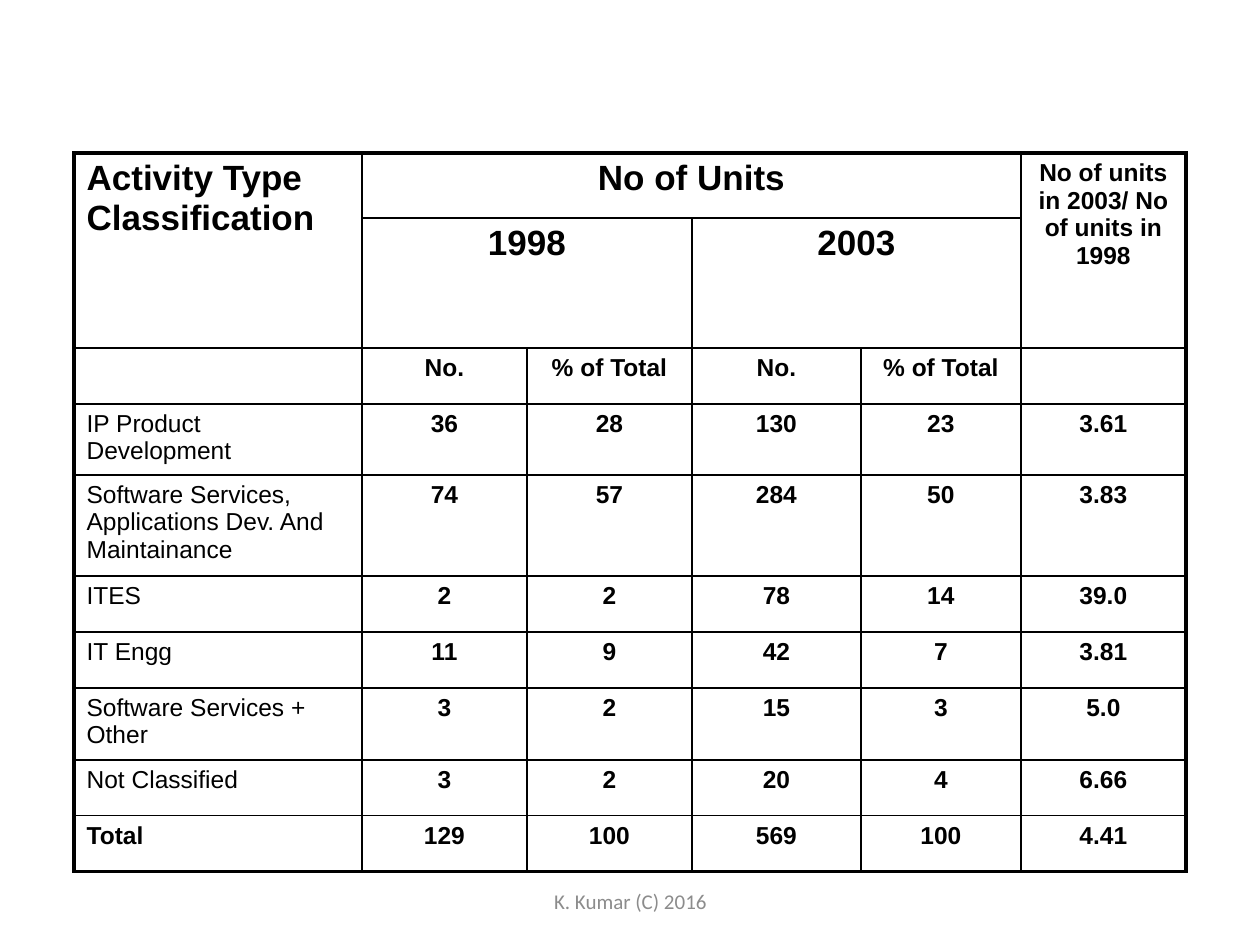
from lxml.etree import SubElement
from pptx import Presentation
from pptx.dml.color import RGBColor
from pptx.enum.text import MSO_ANCHOR, PP_ALIGN
from pptx.oxml.ns import qn
from pptx.util import Emu, Pt

BLACK = RGBColor(0x00, 0x00, 0x00)
GREY = RGBColor(0x8C, 0x8C, 0x8C)


def px(n):
    return Emu(n * 914400 // 126)


def add_border(cell, side, width):
    ln = SubElement(cell._tc.get_or_add_tcPr(), qn(f"a:ln{side}"), w=str(Pt(width)))
    fill = SubElement(ln, qn("a:solidFill"))
    SubElement(fill, qn("a:srgbClr"), val=str(BLACK))


prs = Presentation()
prs.slide_width, prs.slide_height = px(1260), px(945)
s = prs.slides.add_slide(prs.slide_layouts[6])

ROWS = [
    ["Activity Type Classification", "No of Units", "", "", "",
     "No of units in 2003/ No of units in 1998"],
    ["", "1998", "", "2003", "", ""],
    ["", "No.", "% of Total", "No.", "% of Total", ""],
    ["IP Product Development", "36", "28", "130", "23", "3.61"],
    ["Software Services, Applications Dev. And Maintainance",
     "74", "57", "284", "50", "3.83"],
    ["ITES", "2", "2", "78", "14", "39.0"],
    ["IT Engg", "11", "9", "42", "7", "3.81"],
    ["Software Services + Other", "3", "2", "15", "3", "5.0"],
    ["Not Classified", "3", "2", "20", "4", "6.66"],
    ["Total", "129", "100", "569", "100", "4.41"],
]
COL_WIDTHS = [288, 165, 165, 169, 160, 165]
ROW_HEIGHTS = [65, 130, 56, 71, 101, 56, 56, 72, 56, 56]
MERGES = [(0, 0, 1, 0), (0, 1, 0, 4), (0, 5, 1, 5), (1, 1, 1, 2), (1, 3, 1, 4)]
last_row, last_col = len(ROWS) - 1, len(COL_WIDTHS) - 1

table = s.shapes.add_table(len(ROWS), len(COL_WIDTHS), px(74), px(153),
                           px(sum(COL_WIDTHS)), px(sum(ROW_HEIGHTS))).table
table.first_row = table.horz_banding = False
for col, width in zip(table.columns, COL_WIDTHS):
    col.width = px(width)
for row, height in zip(table.rows, ROW_HEIGHTS):
    row.height = px(height)
for top, left, bottom, right in MERGES:
    table.cell(top, left).merge(table.cell(bottom, right))

for i, texts in enumerate(ROWS):
    for j, text in enumerate(texts):
        cell = table.cell(i, j)
        outer = {"L": j == 0, "R": j == last_col, "T": i == 0, "B": i == last_row}
        for side, is_outer in outer.items():
            add_border(cell, side, 2.25 if is_outer else 1)
        cell.fill.background()
        if not text:
            continue
        cell.text = text
        p = cell.text_frame.paragraphs[0]
        p.alignment = PP_ALIGN.CENTER if j else PP_ALIGN.LEFT
        p.font.name = "Arial"
        p.font.size = Pt(20 if i < 2 and j < last_col else 14)
        p.font.bold = j > 0 or i in (0, last_row)
        p.font.color.rgb = BLACK

footer = s.shapes.add_textbox(px(431), px(876), px(399), px(50))
tf = footer.text_frame
tf.word_wrap = True
tf.vertical_anchor = MSO_ANCHOR.MIDDLE
p = tf.paragraphs[0]
p.text = "K. Kumar (C) 2016"
p.alignment = PP_ALIGN.CENTER
p.font.name = "Calibri"
p.font.size = Pt(12)
p.font.color.rgb = GREY

prs.save("out.pptx")
